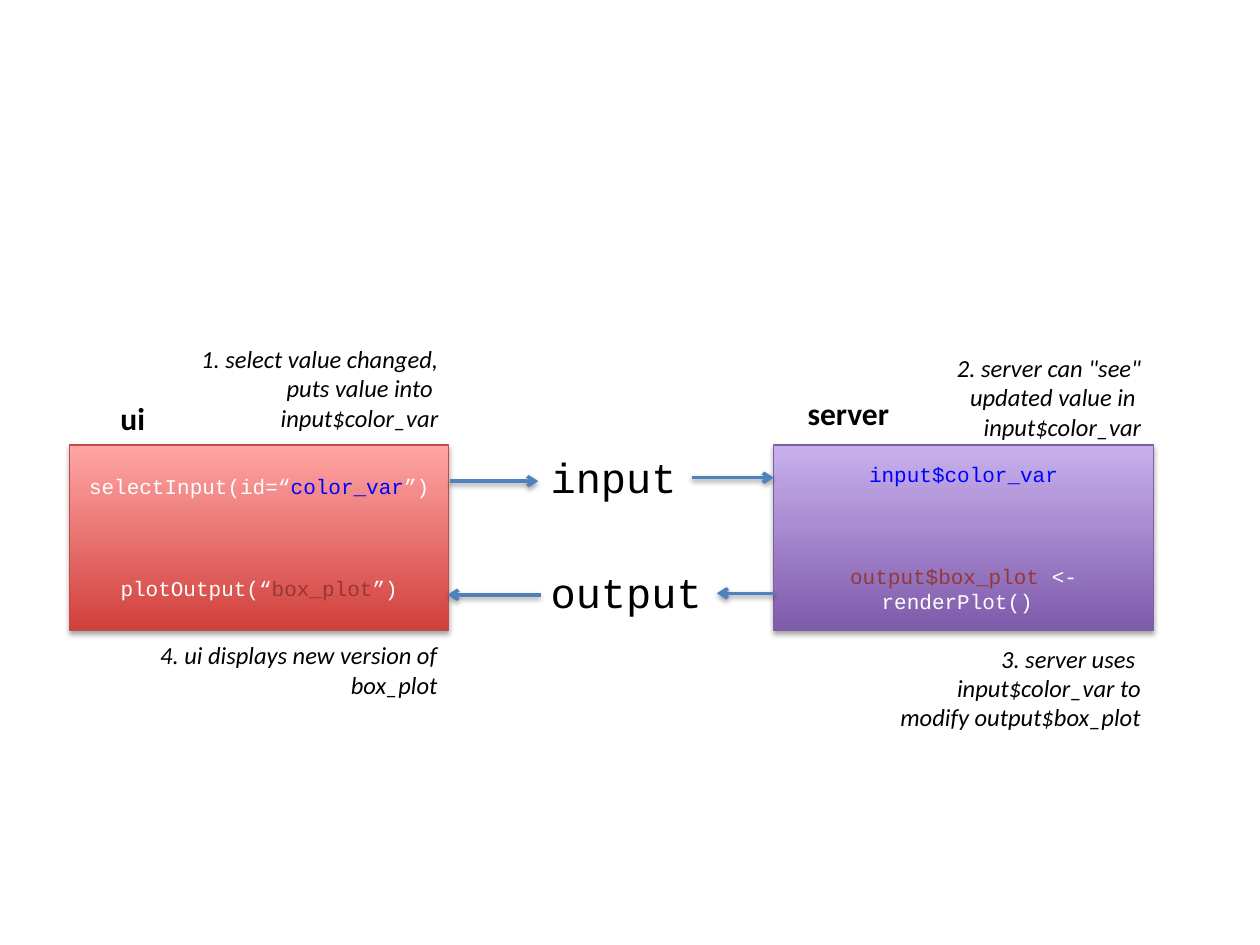
import dataclasses
import lxml.etree
import pptx
import pptx.dml.color
import pptx.enum.shapes
import pptx.enum.text
import pptx.oxml.ns
import pptx.util

Cm = pptx.util.Cm
Pt = pptx.util.Pt
ALIGN = pptx.enum.text.PP_ALIGN


@dataclasses.dataclass(frozen=True)
class Theme:
    black: str = "000000"
    white: str = "FFFFFF"
    blue: str = "0000FF"
    brown: str = "953735"
    arrow: str = "4F81BD"
    red: tuple = ("D1403C", "FFA6A5", "BF4C48")
    purple: tuple = ("7F5BAB", "C8B0ED", "7D60A0")
    sans: str = "Calibri"
    mono: str = "Courier New"
    code: int = 12
    note: int = 14
    head: int = 18
    slot: int = 24


THEME = Theme()


def tint(code):
    return pptx.dml.color.RGBColor.from_string(code)


def add_node(parent, tag, **attrs):
    return lxml.etree.SubElement(parent, pptx.oxml.ns.qn(tag), attrs)


def add_shade(shape, dist, alpha):
    glow = add_node(shape._element.spPr, "a:effectLst")
    shade = add_node(glow, "a:outerShdw", blurRad=str(Pt(3.1)), dist=str(Pt(dist)),
                     dir="5400000", rotWithShape="0")
    color = add_node(shade, "a:srgbClr", val=THEME.black)
    add_node(color, "a:alpha", val=str(alpha * 1000))


def add_run(para, text, face, size, color, bold=False, italic=False):
    run = para.add_run()
    run.text = text
    run.font.name = face
    run.font.size = Pt(size)
    run.font.bold = bold
    run.font.italic = italic
    run.font.color.rgb = tint(color)


def get_para(frame, index):
    return frame.add_paragraph() if index else frame.paragraphs[0]


def add_panel(slide, left, colors, lines):
    rect = pptx.enum.shapes.MSO_SHAPE.RECTANGLE
    panel = slide.shapes.add_shape(rect, Cm(left), Cm(8.97), Cm(7.65), Cm(3.73))
    panel.fill.gradient()
    panel.fill.gradient_angle = 90
    for stop, color in zip(panel.fill.gradient_stops, colors):
        stop.color.rgb = tint(color)
    panel.line.color.rgb = tint(colors[2])
    panel.line.width = Pt(0.75)
    add_shade(panel, 1.8, 35)
    frame = panel.text_frame
    frame.word_wrap = True
    frame.vertical_anchor = pptx.enum.text.MSO_ANCHOR.MIDDLE
    for index, (gap, parts) in enumerate(lines):
        para = get_para(frame, index)
        para.alignment = ALIGN.CENTER
        para.space_before = Pt(gap)
        for text, color in parts:
            add_run(para, text, THEME.mono, THEME.code, color)


def add_label(slide, box, lines, face, size, wrap=False, align=ALIGN.LEFT, **style):
    frame = slide.shapes.add_textbox(*map(Cm, box)).text_frame
    frame.word_wrap = wrap
    frame.auto_size = pptx.enum.text.MSO_AUTO_SIZE.SHAPE_TO_FIT_TEXT
    for index, text in enumerate(lines):
        para = get_para(frame, index)
        para.alignment = align
        add_run(para, text, face, size, THEME.black, **style)


def add_arrow(slide, start, end, top):
    kind = pptx.enum.shapes.MSO_CONNECTOR.STRAIGHT
    arrow = slide.shapes.add_connector(kind, Cm(start), Cm(top), Cm(end), Cm(top))
    arrow.line.color.rgb = tint(THEME.arrow)
    arrow.line.width = Pt(2)
    add_node(arrow.line._get_or_add_ln(), "a:tailEnd", type="arrow")
    add_shade(arrow, 1.6, 38)


def main():
    deck = pptx.Presentation()
    deck.slide_width, deck.slide_height = Cm(25.4), Cm(19.05)
    slide = deck.slides.add_slide(deck.slide_layouts[6])
    white, blue, brown = THEME.white, THEME.blue, THEME.brown

    add_panel(slide, 1.4, THEME.red, [
        (0, [("selectInput(id=“", white), ("color_var", blue), ("”)", white)]),
        (44, [("plotOutput(“", white), ("box_plot", brown), ("”)", white)]),
    ])
    add_panel(slide, 15.6, THEME.purple, [
        (0, [("input$color_var", blue)]),
        (44, [("output$box_plot", brown), (" <-", white)]),
        (0, [("renderPlot() ", white)]),
    ])

    for text, top, width in [("output", 11.3, 3.58), ("input", 8.97, 3.07)]:
        add_label(slide, (10.85, top, width, 1.27), [text], THEME.mono, THEME.slot)

    for start, end, top in [(9.07, 10.85, 9.7), (13.94, 15.6, 9.63),
                            (15.6, 14.45, 11.96), (10.9, 9.02, 11.99)]:
        add_arrow(slide, start, end, top)

    for text, box in [("ui", (2.18, 7.92, 1.02, 1.02)),
                      ("server", (16.03, 7.82, 2.18, 1.02))]:
        add_label(slide, box, [text], THEME.sans, THEME.head, bold=True)

    notes = [
        ((3.63, 6.81, 5.46, 2.06), False,
         ["1. select value changed,", "puts value into ", "input$color_var"]),
        ((18.87, 6.99, 4.39, 2.06), False,
         ['2. server can "see"', "updated value in ", "input$color_var"]),
        ((15.6, 12.85, 7.65, 2.06), True,
         ["3. server uses ", "input$color_var to", "modify output$box_plot"]),
        ((1.42, 12.78, 7.65, 1.45), True,
         ["4. ui displays new version of box_plot"]),
    ]
    for box, wrap, lines in notes:
        add_label(slide, box, lines, THEME.sans, THEME.note, wrap, ALIGN.RIGHT, italic=True)

    deck.save("out.pptx")


main()
